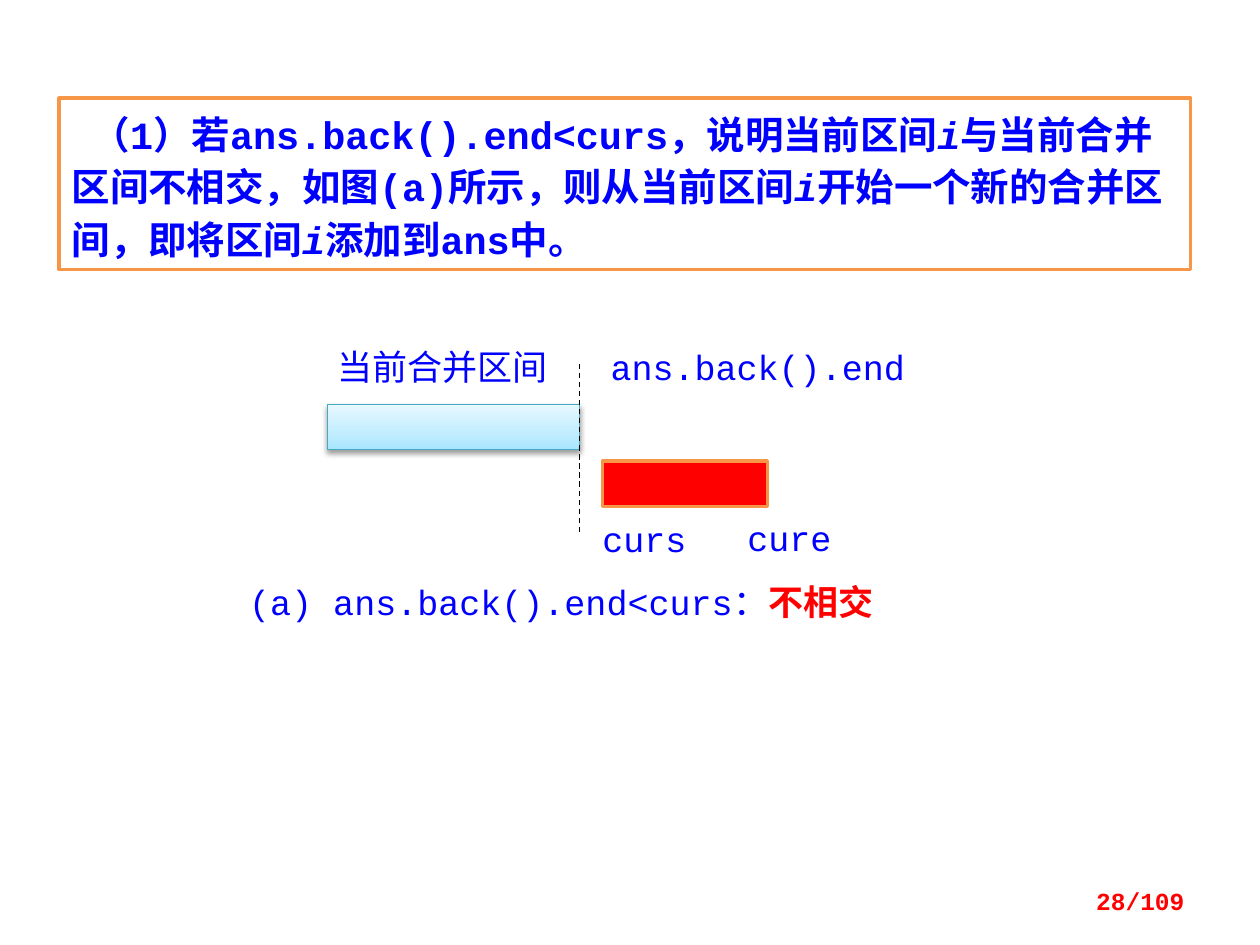
from dataclasses import dataclass

from lxml import etree
from pptx import Presentation
from pptx.dml.color import RGBColor
from pptx.enum.dml import MSO_LINE
from pptx.enum.shapes import MSO_CONNECTOR, MSO_SHAPE
from pptx.enum.text import MSO_ANCHOR, MSO_AUTO_SIZE, PP_ALIGN
from pptx.oxml.ns import qn
from pptx.util import Inches, Pt

RECT = MSO_SHAPE.RECTANGLE
STRAIGHT = MSO_CONNECTOR.STRAIGHT
DASH = MSO_LINE.DASH
TOP, MIDDLE = MSO_ANCHOR.TOP, MSO_ANCHOR.MIDDLE
LEFT, CENTER, RIGHT = PP_ALIGN.LEFT, PP_ALIGN.CENTER, PP_ALIGN.RIGHT
GROW = MSO_AUTO_SIZE.SHAPE_TO_FIT_TEXT


@dataclass(frozen=True)
class Theme:
    font: str = "Courier New"
    statement_size: int = 22
    label_size: int = 20
    page_size: int = 14
    paper: str = "FFFFFF"
    ink: str = "0000FF"
    accent: str = "FF0000"
    border: str = "F79646"
    merged_border: str = "46AAC5"
    merged_stops: tuple = ((0, "A7E6FF"), (35, "C1EDFF"), (100, "E7F8FF"))
    black: str = "000000"


def rgb(value):
    return RGBColor.from_string(value)


class SlideBuilder:
    def __init__(self, slide, theme):
        self.theme = theme
        self.slide = slide
        self.shapes = slide.shapes

    def start_group(self):
        """Place the following elements in a new group."""
        self.shapes = self.slide.shapes.add_group_shape().shapes

    def end_group(self):
        self.shapes = self.slide.shapes

    def box(self, left, top, width, height, fill, line=None, line_width=2):
        shape = self.shapes.add_shape(
            RECT, Inches(left), Inches(top), Inches(width), Inches(height))
        shape.shadow.inherit = False
        shape.fill.solid()
        shape.fill.fore_color.rgb = rgb(fill)
        if line:
            shape.line.color.rgb = rgb(line)
            shape.line.width = Pt(line_width)
        else:
            shape.line.fill.background()
        return shape

    def set_text(self, frame, runs, size, color, align, bold=False):
        """Fill a frame with (text, style) runs; style is '', 'italic' or 'accent'."""
        frame.word_wrap = True
        paragraph = frame.paragraphs[0]
        paragraph.alignment = align
        font = paragraph.font
        font.name, font.size, font.bold = self.theme.font, Pt(size), bold
        font.color.rgb = rgb(color)
        for text, style in runs:
            run = paragraph.add_run()
            run.text = text
            if style == "italic":
                run.font.italic = True
            elif style == "accent":
                run.font.bold = True
                run.font.color.rgb = rgb(self.theme.accent)
        return paragraph

    def statement(self, left, top, width, height, runs):
        theme = self.theme
        frame = self.box(left, top, width, height, theme.paper, theme.border).text_frame
        frame.vertical_anchor = TOP
        paragraph = self.set_text(
            frame, runs, theme.statement_size, theme.ink, LEFT, bold=True)
        frame.auto_size = GROW
        paragraph.line_spacing = Pt(30)
        paragraph._p.get_or_add_pPr().set("indent", str(Inches(0.16)))

    def label(self, left, top, width, height, *runs):
        theme = self.theme
        frame = self.box(left, top, width, height, theme.paper).text_frame
        frame.vertical_anchor = TOP
        frame.margin_left = frame.margin_right = 0
        frame.margin_top = frame.margin_bottom = 0
        self.set_text(frame, runs, theme.label_size, theme.ink, CENTER)

    def merged_bar(self, left, top, width, height):
        """Gradient bar with a soft shadow below it."""
        theme = self.theme
        bar = self.box(left, top, width, height, theme.paper, theme.merged_border, 0.75)
        bar.fill.gradient()
        bar.fill.gradient_angle = 90
        properties = bar._element.spPr
        stops = properties.find(".//" + qn("a:gsLst"))
        for stop in list(stops):
            stops.remove(stop)
        for position, color in theme.merged_stops:
            stop = etree.SubElement(stops, qn("a:gs"), pos=str(position * 1000))
            etree.SubElement(stop, qn("a:srgbClr"), val=color)
        shadow = etree.SubElement(
            properties.find(qn("a:effectLst")), qn("a:outerShdw"),
            blurRad=str(Pt(3.1)), dist=str(Pt(1.6)), dir="5400000", rotWithShape="0")
        shade = etree.SubElement(shadow, qn("a:srgbClr"), val=theme.black)
        etree.SubElement(shade, qn("a:alpha"), val="38000")

    def dashed_line(self, x, top, bottom):
        line = self.shapes.add_connector(
            STRAIGHT, Inches(x), Inches(top), Inches(x), Inches(bottom))
        line.line.color.rgb = rgb(self.theme.black)
        line.line.width = Pt(0.75)
        line.line.dash_style = DASH
        etree.SubElement(line._element.spPr, qn("a:effectLst"))

    def page_number(self, left, top, width, height, text):
        frame = self.shapes.add_textbox(
            Inches(left), Inches(top), Inches(width), Inches(height)).text_frame
        frame.vertical_anchor = MIDDLE
        self.set_text(frame, [(text, "")], self.theme.page_size, self.theme.accent,
                      RIGHT, bold=True)


def main():
    presentation = Presentation()
    presentation.slide_width, presentation.slide_height = Inches(10), Inches(7.5)
    theme = Theme()
    slide = presentation.slides.add_slide(presentation.slide_layouts[6])
    builder = SlideBuilder(slide, theme)

    # Case being explained
    builder.statement(0.47, 0.78, 8.98, 1.36, [
        ("（1）若ans.back().end<curs，说明当前区间", ""),
        ("i", "italic"),
        ("与当前合并区间不相交，如图(a)所示，则从当前区间", ""),
        ("i", "italic"),
        ("开始一个新的合并区间，即将区间", ""),
        ("i", "italic"),
        ("添加到ans中。", ""),
    ])

    # Interval diagram: the merged interval ends before the current one starts
    merged_left, merged_width, bar_height = 2.6, 2, 0.36
    merged_end = merged_left + merged_width
    builder.start_group()
    builder.merged_bar(merged_left, 3.21, merged_width, bar_height)
    builder.label(4.68, 4.11, 0.87, 0.31, ("curs", ""))
    builder.label(1.8, 4.61, 5.31, 0.31,
                  ("(a) ans.back().end<curs：", ""), ("不相交", "accent"))
    builder.box(4.78, 3.66, 1.31, bar_height, theme.accent, theme.border)
    builder.label(4.68, 2.74, 2.67, 0.32, ("ans.back().end", ""))
    builder.dashed_line(merged_end, 2.89, 4.22)
    builder.label(merged_left, 2.74, 1.82, 0.32, ("当前合并区间", ""))
    builder.label(5.81, 4.1, 0.91, 0.31, ("cure", ""))
    builder.end_group()

    # Footer
    builder.page_number(7.17, 6.95, 2.33, 0.4, "28/109")
    presentation.save("out.pptx")


if __name__ == "__main__":
    main()
